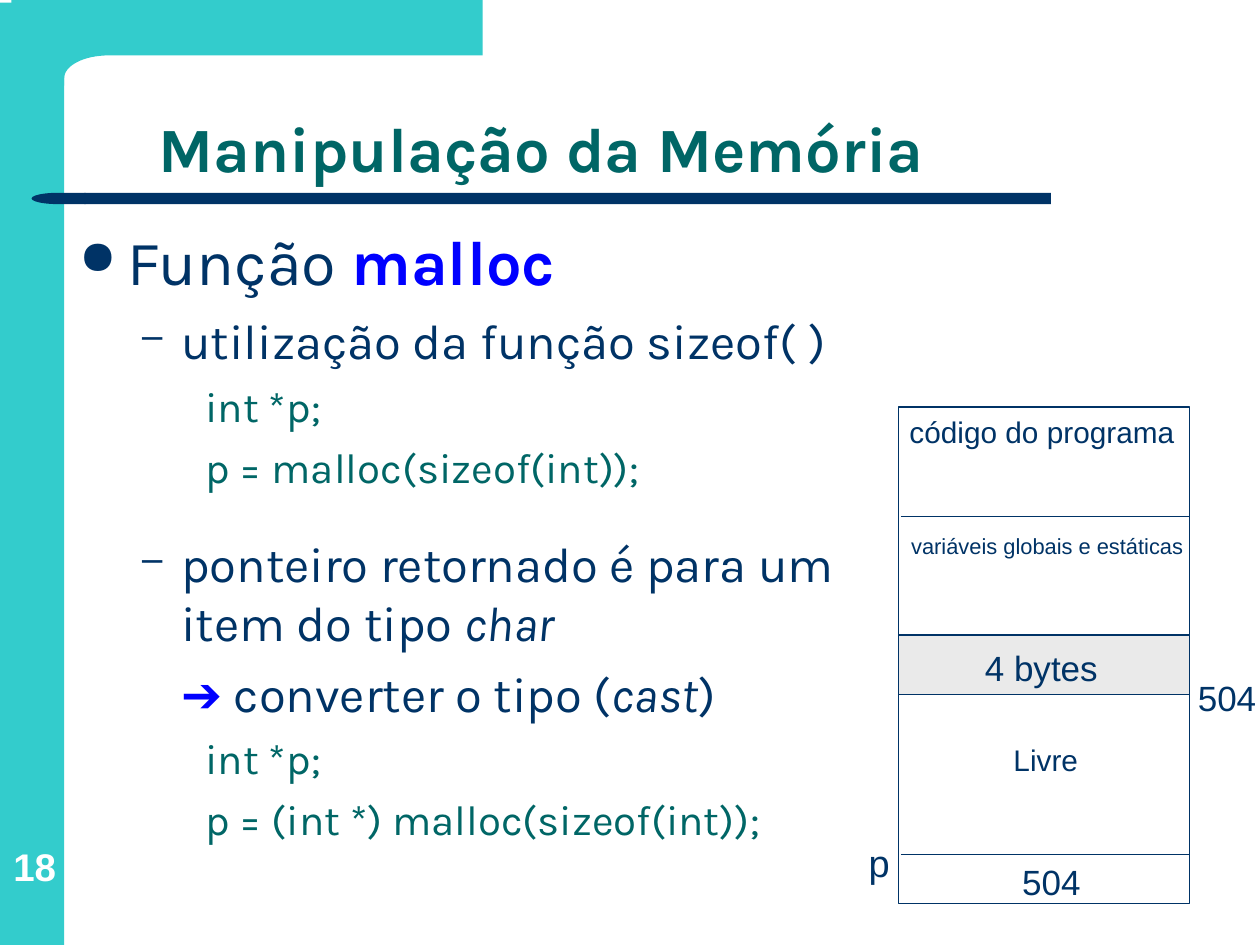
import math

import pptx
import pptx.dml.color
import pptx.enum.shapes
import pptx.enum.text
import pptx.oxml.ns
import pptx.util
from lxml import etree

Inches, Pt = pptx.util.Inches, pptx.util.Pt
Shape = pptx.enum.shapes.MSO_SHAPE
Align = pptx.enum.text.PP_ALIGN
Anchor = pptx.enum.text.MSO_ANCHOR
qn = pptx.oxml.ns.qn

THEME = {
    "navy": "003366", "teal": "33CCCC", "green": "006666", "blue": "0000FF",
    "grey": "EAEAEA", "white": "FFFFFF",
    "heading": "Karla", "label": "Arial",
    "title": 36, "item": 28, "code": 24, "number": 22, "pointer": 21.7,
    "value": 20, "region": 17, "small": 12.5,
}

# Paragraph levels: left margin and first-line indent (in), space before (pt)
LEVELS = {
    "topic": dict(margin=0.38, indent=-0.38, before=9, bullet="●", size="title"),
    "point": dict(margin=0.81, indent=-0.31, before=7, bullet="–", size="item"),
    "after_gap": dict(margin=0.81, indent=-0.31, before=24, bullet="–", size="item"),
    "result": dict(margin=0.81, before=7, size="item"),
    "code": dict(margin=1.25, indent=-0.25, before=6, size="code", color="green"),
}

# Each paragraph: level, then spans of text with their own format
BODY = [
    ("topic", [("Função ", {}), ("malloc", dict(color="blue", bold=True))]),
    ("point", [("utilização da função sizeof( )", {})]),
    ("code", [("int *p;", {})]),
    ("code", [("p = malloc(sizeof(int));", {})]),
    ("after_gap", [("ponteiro retornado é para um item do tipo ", {}),
                   ("char", dict(italic=True))]),
    ("result", [("➔", dict(font="label", color="blue")), (" converter o tipo (", {}),
                ("cast", dict(italic=True)), (")", {})]),
    ("code", [("int *p;", {})]),
    ("code", [("p = (int *) malloc(sizeof(int));", {})]),
]

# Memory map: outer frame, divider heights, allocated block
MAP_LEFT, MAP_TOP, MAP_WIDTH, MAP_HEIGHT = 7.13, 3.23, 2.31, 3.94
DIVIDERS = [4.1, 5.04, 6.78]
BLOCK_HEIGHT = 0.47

# Text, box (in), size, alignment, line spacing
MAP_LABELS = [
    ("código do programa", (7.13, 3.31, 2.28, 0.32), "region", Align.CENTER, 0.9),
    ("variáveis globais e estáticas", (7.17, 4.26, 2.28, 0.32), "small", Align.CENTER, 0.8),
    ("4 bytes", (7.36, 5.12, 1.81, 0.39), "value", Align.CENTER, 1.0),
    ("Livre", (7.16, 5.91, 2.28, 0.32), "region", Align.CENTER, 0.9),
    ("504", (7.95, 6.82, 0.79, 0.39), "value", Align.CENTER, 1.0),
    ("504", (9.19, 5.36, 0.79, 0.39), "value", Align.RIGHT, 1.0),
    ("p", (6.28, 6.72, 0.79, 0.39), "pointer", Align.RIGHT, 0.8),
]


def rgb(name):
    return pptx.dml.color.RGBColor.from_string(THEME[name])


def paint(shape, fill=None, line=None):
    shape.shadow.inherit = False
    if fill:
        shape.fill.solid()
        shape.fill.fore_color.rgb = rgb(fill)
    else:
        shape.fill.background()
    if line:
        shape.line.color.rgb = rgb(line)
        shape.line.width = Pt(0.75)
    else:
        shape.line.fill.background()


def add_block(page, kind, area, **colors):
    shape = page.shapes.add_shape(kind, *map(Inches, area))
    paint(shape, **colors)
    return shape


def add_box(page, area, inset=None, anchor=Anchor.TOP):
    frame = page.shapes.add_textbox(*map(Inches, area)).text_frame
    frame.word_wrap = True
    frame.vertical_anchor = anchor
    if inset is not None:
        frame.margin_left = frame.margin_right = Inches(inset)
        frame.margin_top = frame.margin_bottom = Inches(inset)
    return frame


def write(para, text, size="item", font="heading", color="navy", bold=False, italic=False):
    span = para.add_run()
    span.text = text
    span.font.size = Pt(THEME[size])
    span.font.name = THEME[font]
    span.font.color.rgb = rgb(color)
    span.font.bold, span.font.italic = bold, italic


def set_layout(para, margin=0, indent=0, before=0, bullet=None):
    para.space_before = Pt(before)
    props = para._p.get_or_add_pPr()
    props.set("marL", str(Inches(margin)))
    props.set("indent", str(Inches(indent)))
    if bullet:
        color = etree.SubElement(props, qn("a:buClr"))
        etree.SubElement(color, qn("a:srgbClr"), val=THEME["navy"])
        etree.SubElement(props, qn("a:buSzPct"), val="75000")
        etree.SubElement(props, qn("a:buChar"), char=bullet)
    else:
        etree.SubElement(props, qn("a:buNone"))


def add_background(page):
    add_block(page, Shape.RECTANGLE, (0, 0.02, 0.51, 7.48), fill="teal")
    # Top band whose inner corner is a quarter ellipse
    center_x, center_y, radius_x, radius_y, steps = 0.86, 0.62, 0.35, 0.18, 16
    angles = [math.pi / 2 * step / steps for step in range(steps + 1)]
    corner = [(center_x - radius_x * math.sin(a), center_y - radius_y * math.cos(a))
              for a in angles]
    outline = [(3.83, 0.44), *corner, (0.51, 0.68), (0.09, 0.68), (0.09, 0)]
    builder = page.shapes.build_freeform(Inches(3.83), 0)
    builder.add_line_segments([(Inches(x), Inches(y)) for x, y in outline], close=True)
    paint(builder.convert_to_shape(), fill="teal")

    add_block(page, Shape.RECTANGLE, (0.67, 1.53, 7.67, 0.09), fill="navy")
    cap = add_block(page, Shape.FLOWCHART_DELAY, (0.25, 1.53, 0.43, 0.09), fill="navy")
    cap.rotation = 180


def add_texts(page):
    para = add_box(page, (0.03, 6.52, 0.49, 0.54), 0, Anchor.BOTTOM).paragraphs[0]
    para.alignment = Align.CENTER
    write(para, "18", size="number", font="label", color="white", bold=True)

    para = add_box(page, (0.91, 0.44, 8.51, 1.09), anchor=Anchor.BOTTOM).paragraphs[0]
    para.line_spacing, para.space_after = 0.9, Pt(5)
    set_layout(para, margin=0.25, before=5)
    write(para, "Manipulação da Memória", size="title", color="green", bold=True)

    frame = add_box(page, (0.53, 1.72, 6.51, 5.18))
    for index, (level, spans) in enumerate(BODY):
        para = frame.add_paragraph() if index else frame.paragraphs[0]
        layout = dict(LEVELS[level])
        base = {key: layout.pop(key) for key in ("size", "color") if key in layout}
        set_layout(para, **layout)
        for text, style in spans:
            write(para, text, **{**base, **style})


def add_memory_map(page):
    add_block(page, Shape.RECTANGLE, (MAP_LEFT, MAP_TOP, MAP_WIDTH, MAP_HEIGHT), line="navy")
    for y in DIVIDERS:
        line = page.shapes.add_connector(
            pptx.enum.shapes.MSO_CONNECTOR.STRAIGHT,
            Inches(MAP_LEFT + 0.02), Inches(y), Inches(MAP_LEFT + MAP_WIDTH), Inches(y))
        line.line.color.rgb = rgb("navy")
        line.line.width = Pt(0.75)
        etree.SubElement(line._element.spPr, qn("a:effectLst"))
    add_block(page, Shape.RECTANGLE, (MAP_LEFT, DIVIDERS[1], MAP_WIDTH, BLOCK_HEIGHT),
              fill="grey", line="navy")
    for text, area, size, alignment, spacing in MAP_LABELS:
        para = add_box(page, area, 0.01).paragraphs[0]
        para.alignment, para.line_spacing = alignment, spacing
        write(para, text, size=size, font="label")


def main():
    deck = pptx.Presentation()
    deck.slide_width, deck.slide_height = Inches(10), Inches(7.5)
    page = deck.slides.add_slide(deck.slide_layouts[6])
    add_background(page)
    add_texts(page)
    add_memory_map(page)
    deck.save("out.pptx")


if __name__ == "__main__":
    main()
